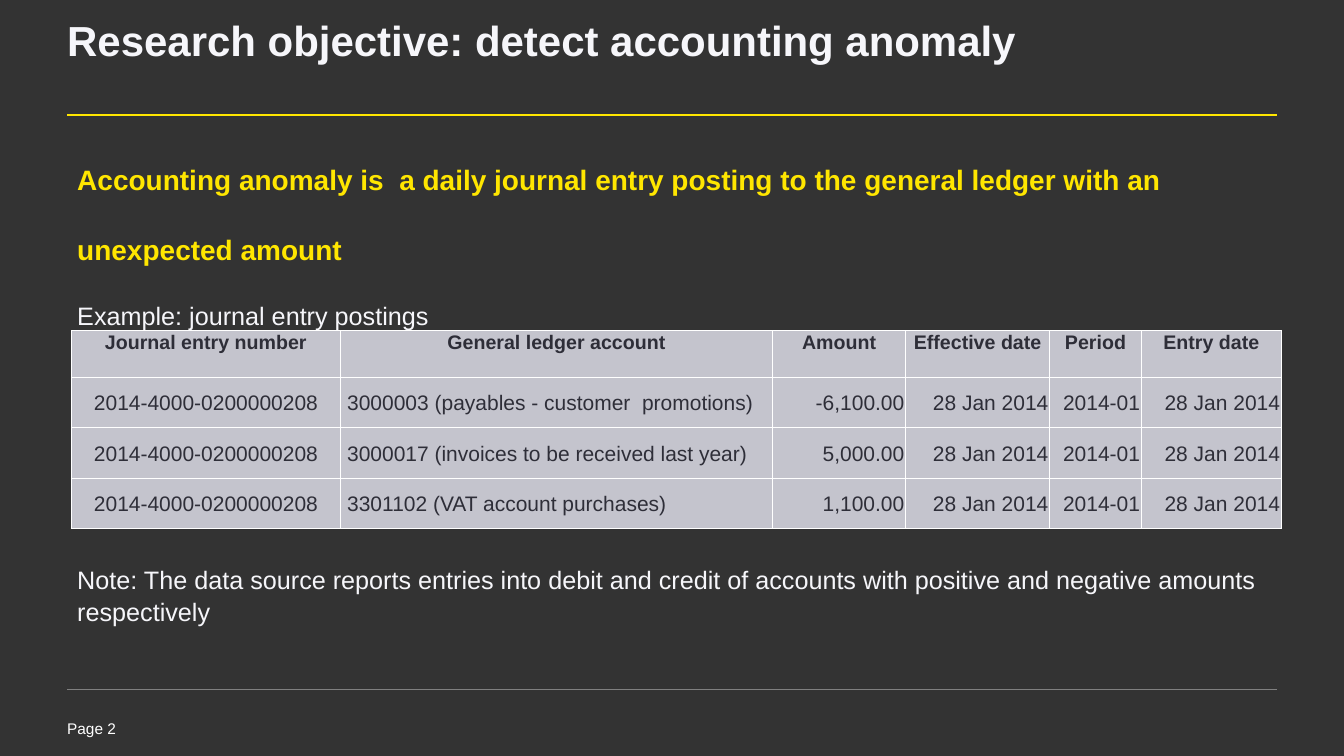
from dataclasses import dataclass

import lxml.etree
import pptx
import pptx.dml.color
import pptx.enum.shapes
import pptx.enum.text
import pptx.oxml.ns
import pptx.util

RGBColor = pptx.dml.color.RGBColor
Align = pptx.enum.text.PP_ALIGN
Anchor = pptx.enum.text.MSO_ANCHOR

CHARCOAL = RGBColor(0x33, 0x33, 0x33)
YELLOW = RGBColor(0xFF, 0xE6, 0x00)
GRAY = RGBColor(0x80, 0x80, 0x80)
WHITE = RGBColor(0xFF, 0xFF, 0xFF)
OFF_WHITE = RGBColor(0xF6, 0xF6, 0xFA)
INK = RGBColor(0x2E, 0x2E, 0x38)
CELL_GRAY = RGBColor(0xC4, 0xC4, 0xCD)

FONT = "Arial"
PAGE_WIDTH = pptx.util.Inches(13.34)
PAGE_HEIGHT = pptx.util.Inches(7.5)
LEFT, RIGHT = 5, 95
TABLE_LEFT, TABLE_TOP = 5.32, 43.73
HEADER_HEIGHT, ENTRY_HEIGHT = 6.2, 6.67
CELL_MARGIN = 0.1


@dataclass(frozen=True)
class Rule:
    row: float
    color: RGBColor
    weight: float


@dataclass(frozen=True)
class TextBlock:
    column: float
    row: float
    width: float
    height: float
    padded: bool = False


@dataclass(frozen=True)
class LedgerColumn:
    heading: str
    width: float
    align: Align
    indent: float = CELL_MARGIN


RULES = [Rule(15.2, YELLOW, 1.5), Rule(91.1, GRAY, 0.25)]
TITLE = TextBlock(LEFT, 2.93, 90, 12.5)
DEFINITION = TextBlock(LEFT, 16, 91.75, 27)
NOTE = TextBlock(LEFT, 73.7, 91.75, 10)
PAGE_LABEL = TextBlock(LEFT, 95.07, 7.3, 2.9)

LEDGER_COLUMNS = [
    LedgerColumn("Journal entry number", 20.01, Align.CENTER),
    LedgerColumn("General ledger account", 32.16, Align.LEFT, 0.5),
    LedgerColumn("Amount", 9.9, Align.RIGHT),
    LedgerColumn("Effective date", 10.72, Align.RIGHT),
    LedgerColumn("Period", 6.82, Align.RIGHT),
    LedgerColumn("Entry date", 10.42, Align.RIGHT),
]
JOURNAL, PERIOD, DAY = "2014-4000-0200000208", "2014-01", "28 Jan 2014"
POSTINGS = [
    ("3000003 (payables - customer  promotions)", "-6,100.00"),
    ("3000017 (invoices to be received last year)", "5,000.00"),
    ("3301102 (VAT account purchases)", "1,100.00"),
]


def across(columns: float) -> int:
    return round(PAGE_WIDTH * columns / 100)


def down(rows: float) -> int:
    return round(PAGE_HEIGHT * rows / 100)


def write(frame, text: str, *, size: float, color: RGBColor, bold: bool = False,
          align: Align = Align.LEFT, spacing: float = 1.0) -> None:
    para = frame.paragraphs[0] if not frame.text else frame.add_paragraph()
    para.alignment = align
    para.line_spacing = spacing
    span = para.add_run()
    span.text = text
    span.font.name = FONT
    span.font.size = pptx.util.Pt(size)
    span.font.bold = bold
    span.font.color.rgb = color


def add_text_frame(page, block: TextBlock, margin: float = 0):
    box = page.shapes.add_textbox(across(block.column), down(block.row),
                                  across(block.width), down(block.height))
    frame = box.text_frame
    frame.word_wrap = True
    frame.margin_left = frame.margin_right = across(margin)
    frame.margin_top = frame.margin_bottom = across(margin / 2)
    return frame


def add_rule(page, rule: Rule) -> None:
    line = page.shapes.add_connector(pptx.enum.shapes.MSO_CONNECTOR.STRAIGHT,
                                     across(LEFT), down(rule.row), across(RIGHT), down(rule.row))
    line.line.color.rgb = rule.color
    line.line.width = pptx.util.Pt(rule.weight)
    properties = line._element.spPr
    lxml.etree.SubElement(properties, pptx.oxml.ns.qn("a:effectLst"))


def add_borders(cell) -> None:
    properties = cell._tc.get_or_add_tcPr()
    for side in ("a:lnL", "a:lnR", "a:lnT", "a:lnB"):
        border = lxml.etree.SubElement(properties, pptx.oxml.ns.qn(side), w=str(pptx.util.Pt(1)))
        fill = lxml.etree.SubElement(border, pptx.oxml.ns.qn("a:solidFill"))
        lxml.etree.SubElement(fill, pptx.oxml.ns.qn("a:srgbClr"), val=str(WHITE))


def fill_cell(cell, text: str, column: LedgerColumn, is_header: bool) -> None:
    add_borders(cell)
    cell.fill.solid()
    cell.fill.fore_color.rgb = CELL_GRAY
    cell.margin_left = across(CELL_MARGIN if is_header else column.indent)
    cell.margin_right = cell.margin_top = across(CELL_MARGIN)
    cell.margin_bottom = 0
    cell.vertical_anchor = Anchor.TOP if is_header else Anchor.MIDDLE
    write(cell.text_frame, text, size=14 if is_header else 15, color=INK, bold=is_header,
          align=Align.CENTER if is_header else column.align)


def add_ledger(page) -> None:
    lines = [tuple(column.heading for column in LEDGER_COLUMNS)]
    lines += [(JOURNAL, account, amount, DAY, PERIOD, DAY) for account, amount in POSTINGS]
    heights = [HEADER_HEIGHT] + [ENTRY_HEIGHT] * len(POSTINGS)
    width = sum(column.width for column in LEDGER_COLUMNS)
    table = page.shapes.add_table(len(lines), len(LEDGER_COLUMNS), across(TABLE_LEFT),
                                  down(TABLE_TOP), across(width), down(sum(heights))).table
    table.horz_banding = False
    for index, column in enumerate(LEDGER_COLUMNS):
        table.columns[index].width = across(column.width)
    for row, (line, height) in enumerate(zip(lines, heights)):
        table.rows[row].height = down(height)
        for index, (text, column) in enumerate(zip(line, LEDGER_COLUMNS)):
            fill_cell(table.cell(row, index), text, column, row == 0)


def main() -> None:
    deck = pptx.Presentation()
    deck.slide_width, deck.slide_height = PAGE_WIDTH, PAGE_HEIGHT
    page = deck.slides.add_slide(deck.slide_layouts[6])
    page.background.fill.solid()
    page.background.fill.fore_color.rgb = CHARCOAL

    for rule in RULES:
        add_rule(page, rule)
    write(add_text_frame(page, PAGE_LABEL), "Page 2", size=11, color=WHITE)
    write(add_text_frame(page, TITLE), "Research objective: detect accounting anomaly",
          size=30, color=OFF_WHITE, bold=True, spacing=0.85)

    definition = add_text_frame(page, DEFINITION, margin=0.75)
    write(definition, "Accounting anomaly is  a daily journal entry posting to the general "
          "ledger with an unexpected amount", size=20, color=YELLOW, bold=True, spacing=2.08)
    write(definition, "Example: journal entry postings", size=18, color=OFF_WHITE, spacing=2.14)

    add_ledger(page)
    write(add_text_frame(page, NOTE, margin=0.75),
          "Note: The data source reports entries into debit and credit of accounts with "
          "positive and negative amounts respectively", size=18, color=OFF_WHITE, spacing=1.07)
    deck.save("out.pptx")


if __name__ == "__main__":
    main()
